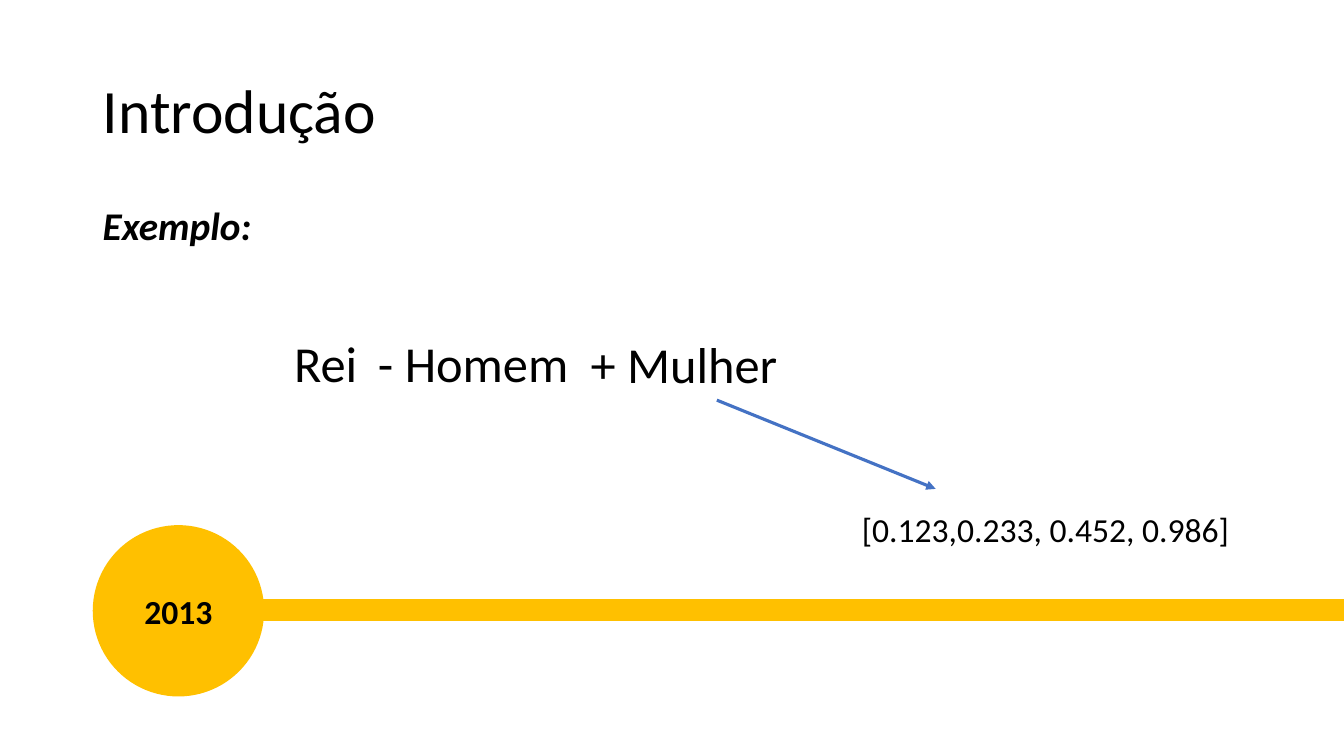
from dataclasses import dataclass

import lxml.etree
import pptx
import pptx.dml.color
import pptx.enum.shapes
import pptx.enum.text
import pptx.oxml.ns
import pptx.presentation
import pptx.shapes.base
import pptx.shapes.connector
import pptx.slide
import pptx.util

ALIGN = pptx.enum.text.PP_ALIGN
ANCHOR = pptx.enum.text.MSO_ANCHOR
EMU_PER_PX = 9144


@dataclass(frozen=True)
class Theme:
    font: str = "Calibri"
    ink: str = "000000"
    accent: str = "FFC000"
    arrow: str = "4472C4"
    title: int = 44
    term: int = 36
    heading: int = 28
    body: int = 24
    timeline: float = 16
    pointer: float = 2.25


@dataclass(frozen=True)
class Box:
    left: int
    top: int
    width: int
    height: int


@dataclass(frozen=True)
class Label:
    text: str
    box: Box
    size: int
    wrap: bool = False
    bold: bool = False
    italic: bool = False
    spacing: float = 1.0


@dataclass(frozen=True)
class Line:
    start: tuple[int, int]
    end: tuple[int, int]
    color: str
    width: float
    arrow: bool = False


THEME = Theme()
TITLE_BOX = Box(92, 40, 1150, 145)
YEAR_BOX = Box(92, 521, 170, 170)
LABELS = [
    Label("Exemplo:", Box(92, 200, 691, 60), THEME.heading, True, True, True, 0.9),
    Label("Rei", Box(282, 325, 83, 71), THEME.term),
    Label("- Homem", Box(365, 325, 211, 71), THEME.term),
    Label("+ Mulher", Box(576, 326, 207, 71), THEME.term),
    Label("[0.123,0.233, 0.452, 0.986]", Box(845, 500, 387, 50), THEME.body),
]
TIMELINE = Line((229, 605), (1333, 605), THEME.accent, THEME.timeline)
POINTER = Line((711, 397), (928, 485), THEME.arrow, THEME.pointer, True)


def px(n: int) -> pptx.util.Emu:
    return pptx.util.Emu(n * EMU_PER_PX)


def rgb(color: str) -> pptx.dml.color.RGBColor:
    return pptx.dml.color.RGBColor.from_string(color)


def edges(box: Box) -> tuple[pptx.util.Emu, ...]:
    return px(box.left), px(box.top), px(box.width), px(box.height)


def write(sp: pptx.shapes.base.BaseShape, text: str, *, size: int,
          bold: bool = False, italic: bool = False, wrap: bool = True,
          align: ALIGN = ALIGN.LEFT, anchor: ANCHOR = ANCHOR.TOP,
          spacing: float = 1.0) -> None:
    tf = sp.text_frame
    tf.auto_size = pptx.enum.text.MSO_AUTO_SIZE.NONE
    tf.word_wrap = wrap
    tf.vertical_anchor = anchor
    p = tf.paragraphs[0]
    p.alignment = align
    p.line_spacing = spacing
    r = p.add_run()
    r.text = text
    r.font.name = THEME.font
    r.font.size = pptx.util.Pt(size)
    r.font.bold = bold
    r.font.italic = italic
    r.font.color.rgb = rgb(THEME.ink)


def add_title(s: pptx.slide.Slide, text: str) -> None:
    sp = s.shapes.title
    sp.left, sp.top, sp.width, sp.height = edges(TITLE_BOX)
    write(sp, text, size=THEME.title, anchor=ANCHOR.MIDDLE, spacing=0.9)


def add_year(s: pptx.slide.Slide, text: str) -> None:
    sp = s.shapes.add_shape(pptx.enum.shapes.MSO_SHAPE.OVAL, *edges(YEAR_BOX))
    sp.shadow.inherit = False
    sp.fill.solid()
    sp.fill.fore_color.rgb = rgb(THEME.accent)
    sp.line.fill.background()
    write(sp, text, size=THEME.body, bold=True, align=ALIGN.CENTER,
          anchor=ANCHOR.MIDDLE)


def add_label(s: pptx.slide.Slide, label: Label) -> None:
    sp = s.shapes.add_textbox(*edges(label.box))
    write(sp, label.text, size=label.size, bold=label.bold,
          italic=label.italic, wrap=label.wrap, spacing=label.spacing)


def add_line(s: pptx.slide.Slide, line: Line) -> pptx.shapes.connector.Connector:
    cx = s.shapes.add_connector(
        pptx.enum.shapes.MSO_CONNECTOR.STRAIGHT,
        *(px(n) for n in line.start + line.end))
    cx.line.color.rgb = rgb(line.color)
    cx.line.width = pptx.util.Pt(line.width)
    qn = pptx.oxml.ns.qn
    if line.arrow:
        ln = cx.line._get_or_add_ln()
        lxml.etree.SubElement(ln, qn("a:tailEnd"), type="triangle")
    lxml.etree.SubElement(cx._element.spPr, qn("a:effectLst"))
    return cx


def main() -> None:
    prs = pptx.Presentation()
    prs.slide_width, prs.slide_height = px(1333), px(750)
    s = prs.slides.add_slide(prs.slide_layouts[5])
    add_year(s, "2013")
    add_line(s, TIMELINE)
    add_title(s, "Introdução")
    for label in LABELS:
        add_label(s, label)
    add_line(s, POINTER)
    prs.save("out.pptx")


if __name__ == "__main__":
    main()
